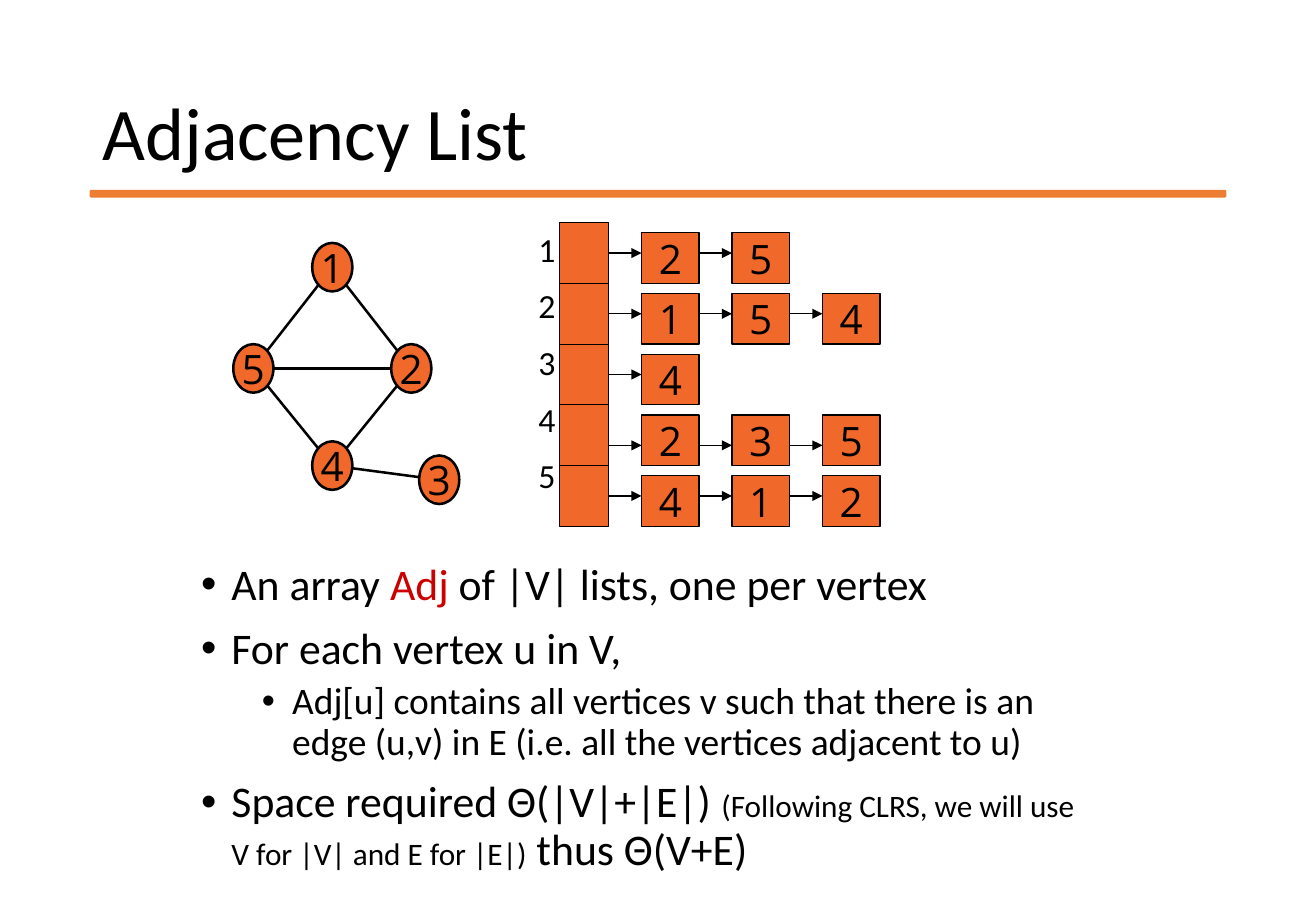
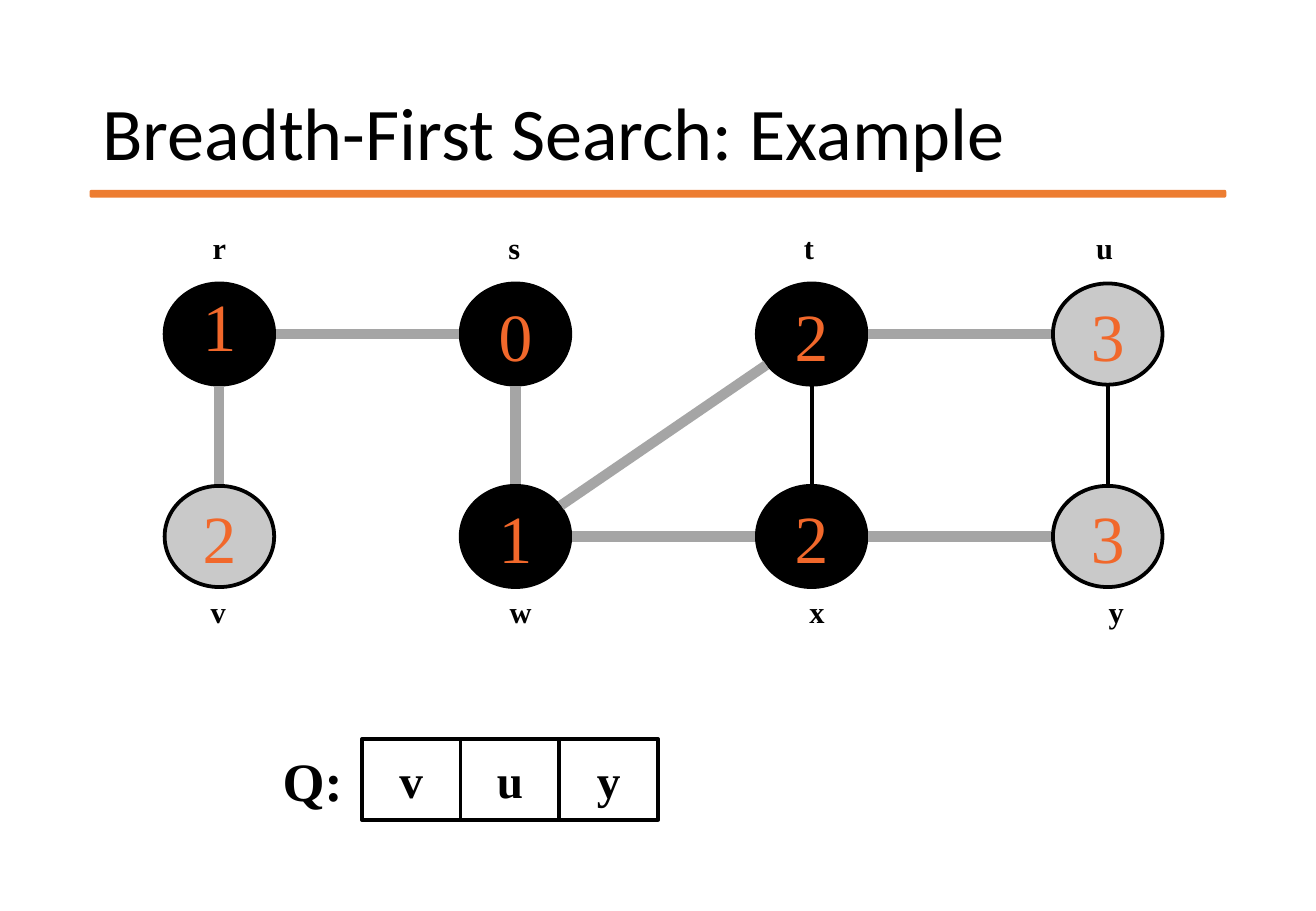
"""Build two slides on graphs: adjacency lists and breadth-first search."""
from dataclasses import dataclass
from math import hypot
from typing import Optional

from lxml.etree import SubElement
from pptx import Presentation
from pptx.dml.color import RGBColor
from pptx.enum.shapes import MSO_CONNECTOR as Connector, MSO_SHAPE as Preset
from pptx.enum.text import MSO_ANCHOR as Anchor, PP_ALIGN as Align
from pptx.oxml.ns import qn
from pptx.util import Inches, Pt

COLUMNS, ROWS = 40, 45
BLACK, ORANGE, ACCENT, RED = "000000", "F1682B", "ED7D31", "CC0000"
GRAY, EDGE_GRAY = "C9C9C9", "A5A5A5"

deck = Presentation()
deck.slide_width, deck.slide_height = Inches(10.83), Inches(7.5)


@dataclass(frozen=True)
class Style:
    """Look of a run of text."""
    size: float
    font: str = "Calibri"
    color: str = BLACK
    bold: bool = False


@dataclass(frozen=True)
class Area:
    """Rectangle in grid columns and rows."""
    left: float
    top: float
    width: float
    height: float


@dataclass(frozen=True)
class Vertex:
    """Graph vertex, centred on a grid point."""
    text: str
    column: float
    row: float
    fill: str = ORANGE
    spacing: Optional[float] = None


@dataclass(frozen=True)
class VertexLook:
    """Size, outline and text style shared by the vertices of a graph."""
    width: float
    height: float
    outline: float
    style: Style


@dataclass(frozen=True)
class Bullet:
    """Bulleted paragraph made of styled runs."""
    runs: tuple
    level: int = 0


def across(columns: float) -> int:
    """Convert grid columns to a length."""
    return round(deck.slide_width * columns / COLUMNS)


def down(rows: float) -> int:
    """Convert grid rows to a length."""
    return round(deck.slide_height * rows / ROWS)


def frame(area: Area) -> tuple:
    """Return left, top, width and height as lengths."""
    return across(area.left), down(area.top), across(area.width), down(area.height)


def rgb(color: str) -> RGBColor:
    """Convert a hex string to a colour."""
    return RGBColor.from_string(color)


def add_run(para, text: str, style: Style) -> None:
    """Append a styled run to a paragraph."""
    span = para.add_run()
    span.text = text
    span.font.size, span.font.name = Pt(style.size), style.font
    span.font.bold = style.bold
    span.font.color.rgb = rgb(style.color)


def write_line(box, text: str, style: Style, align=Align.CENTER,
               anchor=Anchor.MIDDLE, wrap: bool = False,
               spacing: Optional[float] = None) -> None:
    """Write a single paragraph into a box."""
    box.text_frame.word_wrap = wrap
    box.text_frame.vertical_anchor = anchor
    para = box.text_frame.paragraphs[0]
    para.alignment, para.line_spacing = align, spacing
    add_run(para, text, style)


def add_box(page, preset, area: Area, fill: Optional[str], outline: float,
            color: str = BLACK):
    """Draw an outlined preset shape."""
    box = page.shapes.add_shape(preset, *frame(area))
    box.shadow.inherit = False
    if fill:
        box.fill.solid()
        box.fill.fore_color.rgb = rgb(fill)
    else:
        box.fill.background()
    box.line.width = Pt(outline)
    box.line.color.rgb = rgb(color)
    return box


def add_line(page, start: tuple, end: tuple, width: float,
             color: str = BLACK, arrow: bool = False) -> None:
    """Draw a straight line between two grid points."""
    line = page.shapes.add_connector(
        Connector.STRAIGHT, across(start[0]), down(start[1]), across(end[0]), down(end[1]))
    line.line.width = Pt(width)
    line.line.color.rgb = rgb(color)
    if arrow:
        SubElement(line.line._get_or_add_ln(), qn("a:tailEnd"), type="triangle")
    SubElement(line._element.spPr, qn("a:effectLst"))


def add_vertex(page, vertex: Vertex, look: VertexLook) -> None:
    """Draw a vertex as a labelled ellipse."""
    area = Area(vertex.column - look.width / 2, vertex.row - look.height / 2,
                look.width, look.height)
    oval = add_box(page, Preset.OVAL, area, vertex.fill, look.outline)
    write_line(oval, vertex.text, look.style, spacing=vertex.spacing)


def add_edge(page, start: Vertex, end: Vertex, look: VertexLook, width: float,
             color: str = BLACK) -> None:
    """Join two vertices from rim to rim."""
    dx, dy = end.column - start.column, end.row - start.row
    trim = 1.03 / hypot(2 * dx / look.width, 2 * dy / look.height)
    add_line(page, (start.column + dx * trim, start.row + dy * trim),
             (end.column - dx * trim, end.row - dy * trim), width, color)


def add_page(title: str):
    """Add a blank page with the shared title and rule."""
    page = deck.slides.add_slide(deck.slide_layouts[6])
    add_box(page, Preset.ROUNDED_RECTANGLE, Area(2.75, 9.42, 34.5, 0.3), ACCENT, 1, ACCENT)
    box = page.shapes.add_textbox(*frame(Area(2.75, 2.4, 34.5, 8.7)))
    write_line(box, title, Style(44), Align.LEFT, wrap=True, spacing=0.9)
    return page


def add_bullets(page, area: Area, bullets: tuple) -> None:
    """Write a bulleted list."""
    body = page.shapes.add_textbox(*frame(area)).text_frame
    body.word_wrap = True
    for index, bullet in enumerate(bullets):
        para = body.add_paragraph() if index else body.paragraphs[0]
        para.level, para.line_spacing = bullet.level, 0.9
        para.space_before = Pt(5 if bullet.level else 10)
        for text, style in bullet.runs:
            add_run(para, text, style)
        props = para._p.get_or_add_pPr()
        props.set("marL", str(Inches(0.25 + 0.5 * bullet.level)))
        props.set("indent", str(-Inches(0.25)))
        SubElement(props, qn("a:buFont"), typeface="Arial")
        SubElement(props, qn("a:buChar"), char="•")


def add_adjacency_array(page, lists: tuple) -> None:
    """Draw the array of vertices with its linked lists."""
    left, top, width, pitch = 17, 11, 1.5, 3
    first, step, cell_width = 19.5, 2.75, 1.75
    add_box(page, Preset.RECTANGLE, Area(left, top, width, pitch * len(lists)), ORANGE, 0.75)
    labels = page.shapes.add_textbox(*frame(Area(16, top, width, 14.6))).text_frame
    labels.word_wrap = True
    for index, (neighbours, arrow_drop) in enumerate(lists):
        row = top + pitch * index
        if index:
            add_line(page, (left, row), (left + width, row), 0.75)
        para = labels.add_paragraph() if index else labels.paragraphs[0]
        para.space_before = Pt(9.5)
        add_run(para, str(index + 1), Style(20))
        tail = left + width
        for place, neighbour in enumerate(neighbours):
            column = first + step * place
            cell = add_box(page, Preset.RECTANGLE, Area(column, row + 0.5, cell_width, 2.5),
                           ORANGE, 0.75)
            write_line(cell, neighbour, Style(24, "Open Sans"))
            add_line(page, (tail, row + arrow_drop), (column, row + arrow_drop), 0.75, arrow=True)
            tail = column + cell_width


def build_adjacency_page() -> None:
    """Build the adjacency list slide."""
    page = add_page("Adjacency List")
    look = VertexLook(1.22, 2.4, 1.5, Style(24, "Open Sans"))
    vertices = {vertex.text: vertex for vertex in (
        Vertex("1", 10.1, 13.2), Vertex("2", 12.5, 18.2), Vertex("3", 13.35, 23.7),
        Vertex("4", 10.1, 23), Vertex("5", 7.7, 18.2))}
    for start, end in ("15", "45", "42", "12", "43", "52"):
        add_edge(page, vertices[start], vertices[end], look, 1.5)
    for vertex in vertices.values():
        add_vertex(page, vertex, look)
    add_adjacency_array(page, (("25", 1.5), ("154", 1.5), ("4", 1.5), ("235", 2), ("412", 1.5)))
    main, detail, aside = Style(25.9), Style(22.2), Style(18.5)
    add_bullets(page, Area(5.75, 27.5, 27.75, 16.25), (
        Bullet((("An array ", main), ("Adj", Style(25.9, color=RED)),
                (" of |V| lists, one per vertex", main))),
        Bullet((("For each vertex u in V, ", main),)),
        Bullet((("Adj[u] contains all vertices v such that there is an edge (u,v) in E "
                 "(i.e. all the vertices adjacent to u)", detail),), level=1),
        Bullet((("Space required Θ(|V|+|E|) ", main),
                ("(Following CLRS, we will use V for |V| and E for |E|)", aside),
                (" thus Θ(V+E) ", main)))))


def build_search_page() -> None:
    """Build the breadth-first search slide."""
    page = add_page("Breadth-First Search: Example")
    serif = "Times New Roman"
    look = VertexLook(3.33, 5, 2.25, Style(40, serif, ORANGE))
    vertices = {}
    for names, distances, row, label_row, label_start, label_step in (
            ("rstu", "1023", 16.5, 11, 6.67, 8.96), ("vwxy", "2123", 26.5, 29, 6.63, 9.1)):
        for index, (name, distance) in enumerate(zip(names, distances)):
            vertices[name] = Vertex(distance, 6.67 + 9 * index, row,
                                    GRAY if name in "vuy" else BLACK,
                                    0.7 if name == "r" else None)
            add_vertex(page, vertices[name], look)
            label = page.shapes.add_textbox(*frame(
                Area(label_start + label_step * index - 0.6, label_row, 1.2, 2.4)))
            write_line(label, name, Style(18, serif, bold=True), anchor=Anchor.TOP)
    for pairs, width, color in ((("vr", "rs", "sw", "wt", "wx", "tu", "xy"), 6, EDGE_GRAY),
                                (("xt", "yu"), 2.25, BLACK)):
        for start, end in pairs:
            add_edge(page, vertices[start], vertices[end], look, width, color)
    queue_row, cell_width, cell_height = 36.5, 3, 4
    caption = page.shapes.add_textbox(*frame(Area(8, queue_row, cell_width, cell_height)))
    write_line(caption, "Q:", Style(32, serif, bold=True))
    for index, name in enumerate("vuy"):
        cell = add_box(page, Preset.RECTANGLE,
                       Area(11 + cell_width * index, queue_row, cell_width, cell_height),
                       None, 2.25)
        write_line(cell, name, Style(28, serif, bold=True))


build_adjacency_page()
build_search_page()
deck.save("out.pptx")
